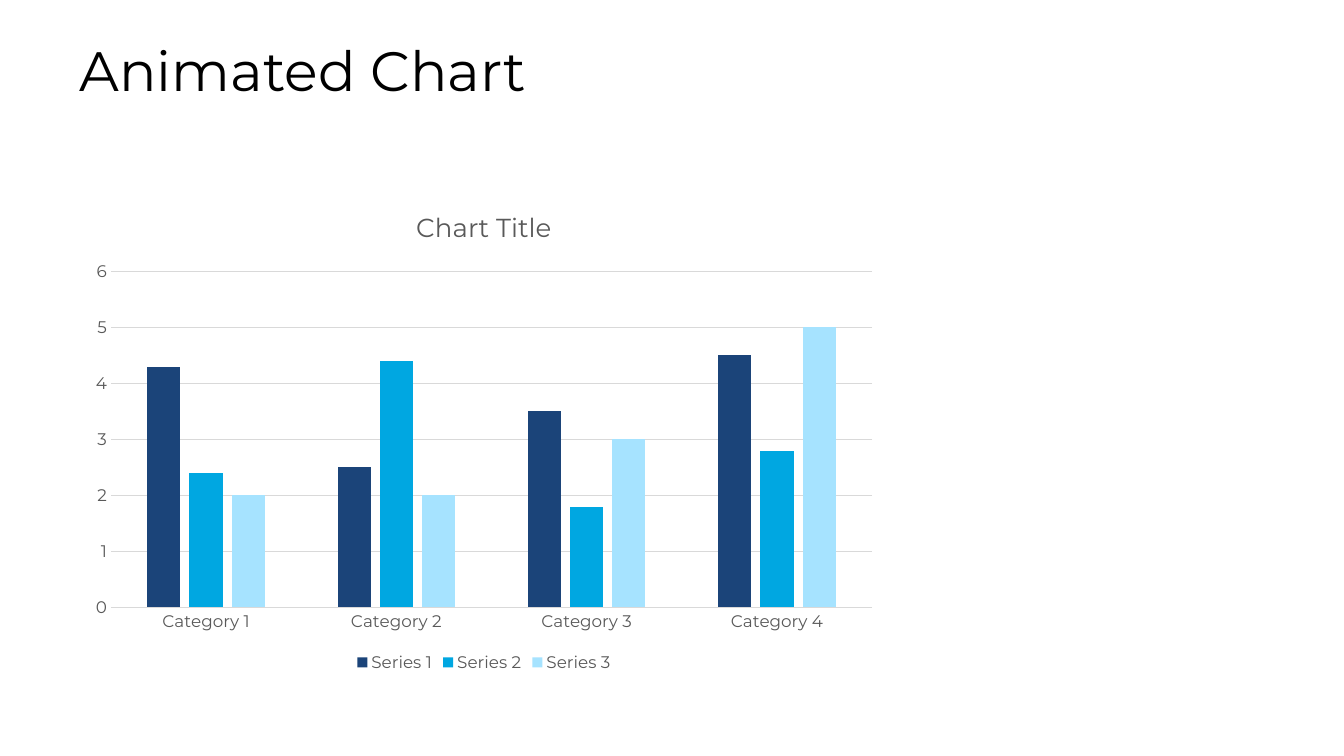
from dataclasses import dataclass

from pptx import Presentation
from pptx.chart.chart import Chart
from pptx.chart.data import CategoryChartData
from pptx.dml.color import RGBColor
from pptx.enum.chart import XL_CHART_TYPE, XL_LEGEND_POSITION, XL_TICK_MARK
from pptx.enum.text import MSO_ANCHOR
from pptx.slide import Slide
from pptx.text.text import Font
from pptx.util import Inches, Pt

BLACK = RGBColor(0x00, 0x00, 0x00)
GREY = RGBColor(0x59, 0x59, 0x59)
PALE = RGBColor(0xD9, 0xD9, 0xD9)
NAVY = RGBColor(0x1B, 0x44, 0x79)
BLUE = RGBColor(0x00, 0xA7, 0xE1)
SKY = RGBColor(0xA6, 0xE3, 0xFF)
FACE = "Montserrat"


@dataclass
class Series:
    name: str
    values: tuple[float, ...]
    color: RGBColor


SERIES = [
    Series("Series 1", (4.3, 2.5, 3.5, 4.5), NAVY),
    Series("Series 2", (2.4, 4.4, 1.8, 2.8), BLUE),
    Series("Series 3", (2, 2, 3, 5), SKY),
]


def apply(target: object, values: dict[str, object]) -> None:
    for name, value in values.items():
        setattr(target, name, value)


def style(font: Font, size: float, color: RGBColor) -> None:
    apply(font, {"name": FACE, "size": Pt(size), "bold": False})
    font.color.rgb = color


def add_title(slide: Slide) -> None:
    box = slide.shapes.add_textbox(
        Inches(0.79), Inches(0.54), Inches(11.75), Inches(0.38))
    frame = box.text_frame
    apply(frame, {
        "word_wrap": True, "vertical_anchor": MSO_ANCHOR.MIDDLE,
        "margin_left": 0, "margin_right": 0,
        "margin_top": 0, "margin_bottom": 0,
    })
    line = frame.paragraphs[0]
    line.line_spacing = 0.9
    run = line.add_run()
    run.text = "Animated Chart"
    style(run.font, 39.6, BLACK)


def add_bars(slide: Slide) -> Chart:
    data = CategoryChartData()
    data.categories = [f"Category {i}" for i in range(1, 5)]
    for item in SERIES:
        data.add_series(item.name, item.values)
    chart = slide.shapes.add_chart(
        XL_CHART_TYPE.COLUMN_CLUSTERED,
        Inches(0.79), Inches(1.88), Inches(8.02), Inches(4.83), data).chart
    style(chart.font, 10, BLACK)
    plot = chart.plots[0]
    apply(plot, {"gap_width": 219, "overlap": -27, "vary_by_categories": False})
    for bars, item in zip(plot.series, SERIES):
        bars.format.fill.solid()
        bars.format.fill.fore_color.rgb = item.color
    return chart


def format_axes(chart: Chart) -> None:
    cat, val = chart.category_axis, chart.value_axis
    for axis in (cat, val):
        apply(axis, {"major_tick_mark": XL_TICK_MARK.NONE,
                     "minor_tick_mark": XL_TICK_MARK.NONE})
        style(axis.tick_labels.font, 12, GREY)
    apply(val, {"minimum_scale": 0, "maximum_scale": 6, "major_unit": 1,
                "has_major_gridlines": True})
    val.format.line.fill.background()
    for line in (cat.format.line, val.major_gridlines.format.line):
        line.color.rgb = PALE
        line.width = Pt(0.75)


def add_labels(chart: Chart) -> None:
    """Set the chart's heading and legend."""
    chart.has_title = True
    frame = chart.chart_title.text_frame
    frame.text = "Chart Title"
    style(frame.paragraphs[0].runs[0].font, 18.6, GREY)
    chart.chart_title.include_in_layout = False
    chart.has_legend = True
    apply(chart.legend, {"position": XL_LEGEND_POSITION.BOTTOM,
                         "include_in_layout": False})
    style(chart.legend.font, 12, GREY)


def main() -> None:
    deck = Presentation()
    apply(deck, {"slide_width": Inches(13.33), "slide_height": Inches(7.5)})
    slide = deck.slides.add_slide(deck.slide_layouts[6])
    add_title(slide)
    chart = add_bars(slide)
    format_axes(chart)
    add_labels(chart)
    deck.save("out.pptx")


if __name__ == "__main__":
    main()
